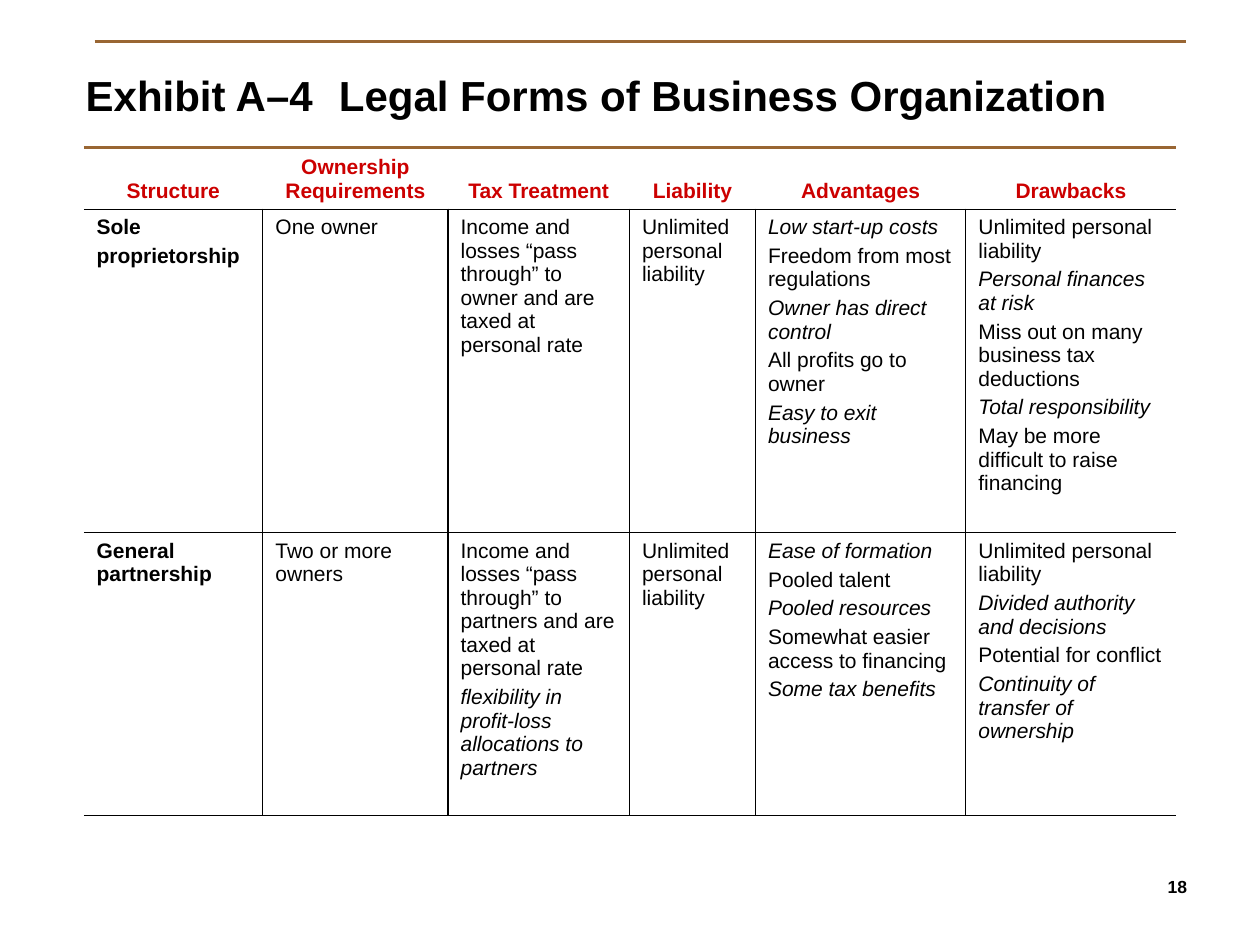
from lxml.etree import SubElement
from pptx import Presentation
from pptx.dml.color import RGBColor
from pptx.enum.shapes import MSO_CONNECTOR
from pptx.enum.text import MSO_ANCHOR, MSO_AUTO_SIZE, PP_ALIGN
from pptx.oxml.ns import qn
from pptx.util import Inches, Pt

COLORS = {"ink": "000000", "heading": "CC0000", "rule": "996633"}
FONT = "Arial"
WIDTH, HEIGHT = 10, 7.5

COLUMN_WIDTHS = [1.42, 1.47, 1.44, 1, 1.67, 1.67]
ROW_HEIGHTS = [0.74, 2.57, 2.24]
STRUCTURE, ADVANTAGES = 0, 4
HEADINGS = ["Structure", "Ownership Requirements", "Tax Treatment",
            "Liability", "Advantages", "Drawbacks"]
LEGAL_FORMS = [
    [["Sole", "proprietorship"],
     ["One owner"],
     ["Income and losses “pass through” to owner and are taxed at personal rate"],
     ["Unlimited personal liability"],
     ["Low start-up costs", "Freedom from most regulations",
      "Owner has direct control", "All profits go to owner",
      "Easy to exit business"],
     ["Unlimited personal liability", "Personal finances at risk",
      "Miss out on many business tax deductions", "Total responsibility",
      "May be more difficult to raise financing"]],
    [["General partnership"],
     ["Two or more owners"],
     ["Income and losses “pass through” to partners and are taxed at personal rate",
      "flexibility in profit-loss allocations to partners"],
     ["Unlimited personal liability"],
     ["Ease of formation", "Pooled talent", "Pooled resources",
      "Somewhat easier access to financing", "Some tax benefits"],
     ["Unlimited personal liability", "Divided authority and decisions",
      "Potential for conflict", "Continuity of transfer of ownership"]],
]


def write(frame, lines, size=12, color="ink", bold=False, italic_from=None,
          align=PP_ALIGN.LEFT, gap=3):
    """Write one paragraph per line; every second one from italic_from is italic."""
    frame.word_wrap = True
    for index, line in enumerate(lines):
        paragraph = frame.paragraphs[0] if index == 0 else frame.add_paragraph()
        paragraph.alignment = align
        if index:
            paragraph.space_before = Pt(gap)
        run = paragraph.add_run()
        run.text = line
        font = run.font
        font.name, font.size, font.bold = FONT, Pt(size), bold
        font.italic = italic_from is not None and index % 2 == italic_from
        font.color.rgb = RGBColor.from_string(COLORS[color])


def place(shape, box):
    shape.left, shape.top, shape.width, shape.height = map(Inches, box)


def add_title(slide, box):
    title = slide.shapes.title
    place(title, box)
    frame = title.text_frame
    frame.auto_size = MSO_AUTO_SIZE.NONE
    frame.vertical_anchor = MSO_ANCHOR.TOP
    # Hanging indent, with a tab stop one inch past it
    hang = Inches(1.51)
    properties = frame.paragraphs[0]._p.get_or_add_pPr()
    properties.set("marL", str(hang))
    properties.set("indent", str(-hang))
    tabs = SubElement(properties, qn("a:tabLst"))
    SubElement(tabs, qn("a:tab"), pos=str(hang + Inches(1)), algn="l")
    write(frame, ["Exhibit A–4\tLegal Forms of Business Organization"],
          size=24, bold=True)


def add_rule(slide, left, top, length):
    rule = slide.shapes.add_connector(
        MSO_CONNECTOR.STRAIGHT, Inches(left), Inches(top),
        Inches(left + length), Inches(top))
    rule.line.color.rgb = RGBColor.from_string(COLORS["rule"])
    rule.line.width = Pt(1.5)
    SubElement(rule._element.spPr, qn("a:effectLst"))


def set_borders(cell, sides):
    """Draw the named sides (L, R, T, B) and clear the others."""
    properties = cell._tc.get_or_add_tcPr()
    for position, side in enumerate("LRTB"):
        line = SubElement(properties, qn(f"a:ln{side}"), w=str(Pt(0.75)))
        if side in sides:
            fill = SubElement(line, qn("a:solidFill"))
            SubElement(fill, qn("a:srgbClr"), val=COLORS["ink"])
        else:
            SubElement(line, qn("a:noFill"))
        properties.insert(position, line)


def add_legal_forms(slide, left, top):
    table = slide.shapes.add_table(
        len(ROW_HEIGHTS), len(COLUMN_WIDTHS), Inches(left), Inches(top),
        Inches(sum(COLUMN_WIDTHS)), Inches(sum(ROW_HEIGHTS))).table
    table.first_row = table.horz_banding = False
    for column, width in zip(table.columns, COLUMN_WIDTHS):
        column.width = Inches(width)
    for row, height in zip(table.rows, ROW_HEIGHTS):
        row.height = Inches(height)

    # Heading row
    for column, heading in enumerate(HEADINGS):
        cell = table.cell(0, column)
        cell.fill.background()
        cell.vertical_anchor = MSO_ANCHOR.BOTTOM
        write(cell.text_frame, [heading], color="heading", bold=True,
              align=PP_ALIGN.CENTER)
        set_borders(cell, "B")

    # One row per legal form, ruled between columns
    last = len(HEADINGS) - 1
    for row, legal_form in enumerate(LEGAL_FORMS, start=1):
        for column, lines in enumerate(legal_form):
            cell = table.cell(row, column)
            cell.fill.background()
            is_structure = column == STRUCTURE
            italic_from = None if is_structure else int(column != ADVANTAGES)
            write(cell.text_frame, lines, bold=is_structure,
                  italic_from=italic_from)
            set_borders(cell, "TB" + "L" * (column > 0) + "R" * (column < last))


def add_page_number(slide, box):
    frame = slide.shapes.add_textbox(*map(Inches, box)).text_frame
    frame.margin_left = frame.margin_right = 0
    frame.vertical_anchor = MSO_ANCHOR.BOTTOM
    write(frame, ["18"], size=10, bold=True, align=PP_ALIGN.RIGHT)


def main():
    deck = Presentation()
    deck.slide_width, deck.slide_height = Inches(WIDTH), Inches(HEIGHT)
    slide = deck.slides.add_slide(deck.slide_layouts[5])
    margin = WIDTH / 15
    length = WIDTH - 2 * margin

    add_title(slide, (0.58, HEIGHT / 15, 8.83, 0.9))
    add_rule(slide, margin, 1.17, length)
    add_rule(slide, 0.75, 0.33, length)
    add_legal_forms(slide, margin, 0.92)
    add_page_number(slide, (0.7 * WIDTH, 6.67, 2.42, HEIGHT / 15))
    deck.save("out.pptx")


if __name__ == "__main__":
    main()
